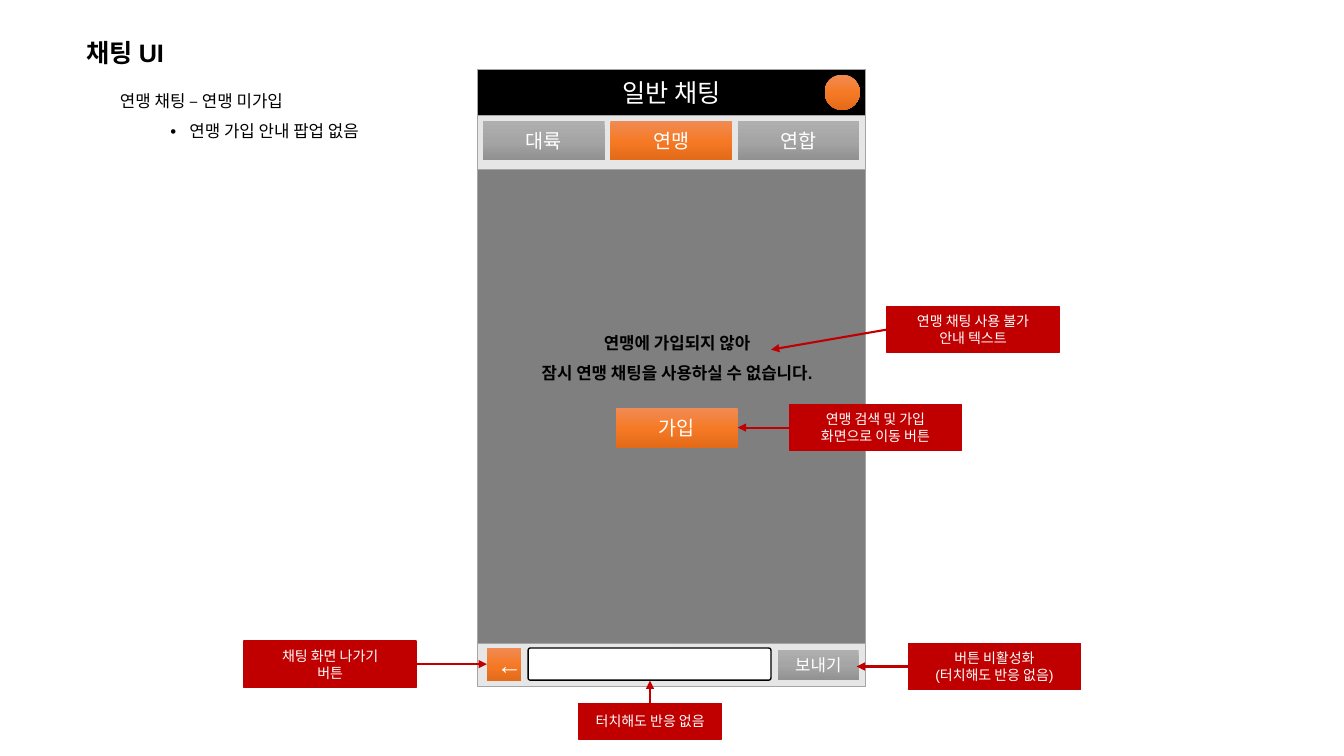
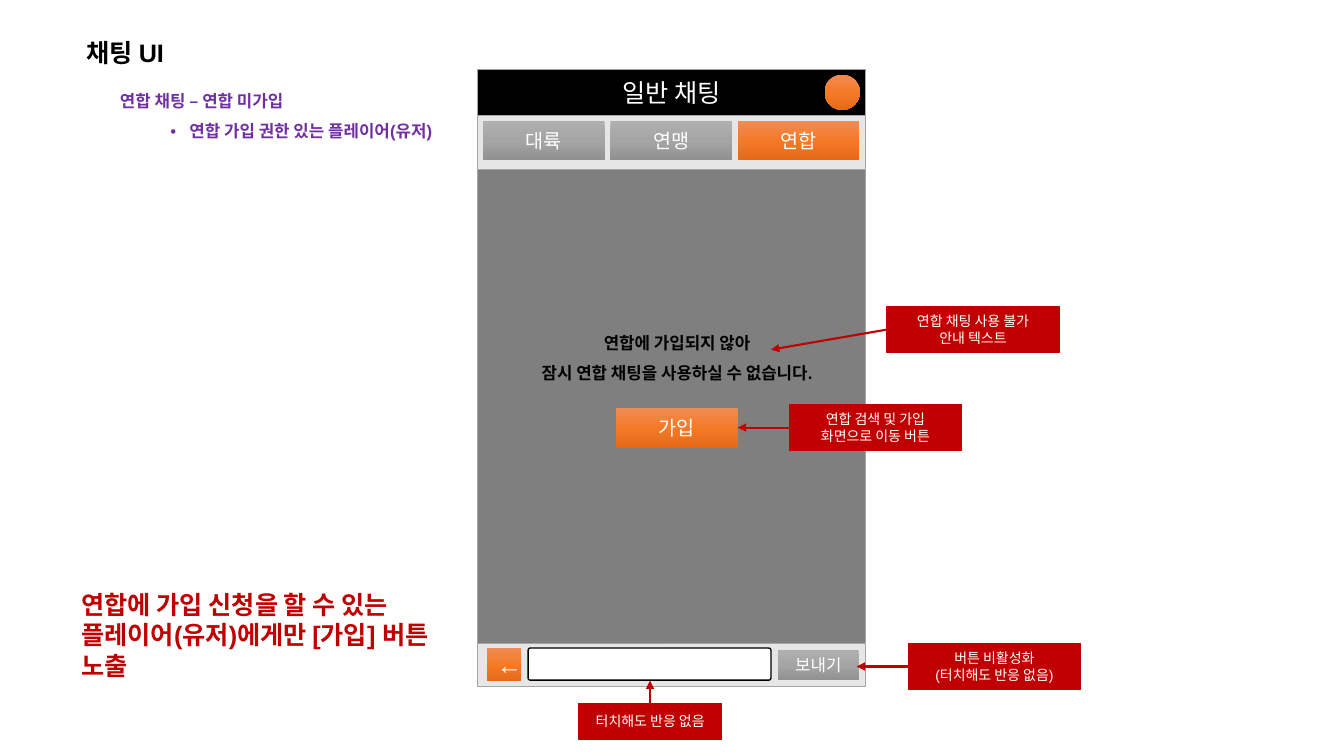
from lxml import etree
from pptx import Presentation
from pptx.dml.color import RGBColor
from pptx.enum.shapes import MSO_CONNECTOR, MSO_SHAPE
from pptx.enum.text import MSO_ANCHOR, MSO_AUTO_SIZE, PP_ALIGN
from pptx.oxml.ns import qn
from pptx.util import Cm, Pt

RECT = MSO_SHAPE.RECTANGLE
ROUNDED = MSO_SHAPE.ROUNDED_RECTANGLE
OVAL = MSO_SHAPE.OVAL
STRAIGHT = MSO_CONNECTOR.STRAIGHT
TOP, MIDDLE = MSO_ANCHOR.TOP, MSO_ANCHOR.MIDDLE
LEFT, CENTER = PP_ALIGN.LEFT, PP_ALIGN.CENTER
NO_FIT = MSO_AUTO_SIZE.NONE

FONT = "Arial"
BLACK, WHITE, RED, PURPLE = "000000", "FFFFFF", "C00000", "7030A0"
SCREEN, BAR, BORDER = "7F7F7F", "E7E6E6", "A5A5A5"
ORANGE_FADE = ("F08B54", "F67A26", "E36A18")
GRAY_FADE = ("AFAFAF", "A5A5A5", "919191")

PHONE_LEFT, PHONE_TOP, PHONE_WIDTH, PHONE_HEIGHT = 12.04, 1.75, 9.78, 15.52
BUTTON_WIDTH, BUTTON_HEIGHT = 3.07, 0.99
TAB_STEP = 3.21
TABS = ("대륙", "연맹", "연합")


def rgb(code):
    return RGBColor.from_string(code)


class ChatScreen:
    def __init__(self, deck):
        self.deck = deck
        self.slide = None

    def start(self, heading, topic, detail, color, bold):
        self.slide = self.deck.slides.add_slide(self.deck.slide_layouts[1])
        title, summary = self.slide.placeholders
        self.place(title, 1.93, 0.81, 2.69, 1.02)
        title.text_frame.word_wrap = False
        self.fill_text(title.text_frame, [heading], 18, BLACK, True, LEFT)
        self.place(summary, 2.77, 1.91, 9.17, 1.8)
        frame = summary.text_frame
        topic_line, detail_line = frame.paragraphs[0], frame.add_paragraph()
        self.bullet(topic_line, 0, 0, None)
        detail_line.level = 1
        self.bullet(detail_line, 1.75, -0.48, color)
        for paragraph, line in ((topic_line, topic), (detail_line, detail)):
            self.style(paragraph, line, 12, color, bold, LEFT, 1.5)

    def place(self, box, left, top, width, height):
        box.left, box.top = Cm(left), Cm(top)
        box.width, box.height = Cm(width), Cm(height)
        frame = box.text_frame
        frame.auto_size = NO_FIT
        frame.word_wrap = True
        frame.vertical_anchor = TOP

    def bullet(self, paragraph, margin, indent, color):
        props = paragraph._p.get_or_add_pPr()
        props.set("marL", str(Cm(margin)))
        props.set("indent", str(Cm(indent)))
        if color is None:
            etree.SubElement(props, qn("a:buNone"))
            return
        tint = etree.SubElement(props, qn("a:buClr"))
        etree.SubElement(tint, qn("a:srgbClr"), val=color)
        etree.SubElement(props, qn("a:buFont"), typeface=FONT)
        etree.SubElement(props, qn("a:buChar"), char="•")

    def style(self, paragraph, line, size, color, bold, align, spacing):
        paragraph.alignment = align
        paragraph.line_spacing = spacing
        paragraph.space_before = Pt(0)
        run = paragraph.add_run()
        run.text = line
        run.font.name = FONT
        run.font.size = Pt(size)
        run.font.bold = bold
        run.font.color.rgb = rgb(color)

    def fill_text(self, frame, lines, size, color, bold=False, align=CENTER, spacing=1.0):
        for index, line in enumerate(lines):
            paragraph = frame.add_paragraph() if index else frame.paragraphs[0]
            self.style(paragraph, line, size, color, bold, align, spacing)

    def text(self, lines, left, top, width, height, size, color, align, spacing):
        box = self.slide.shapes.add_textbox(Cm(left), Cm(top), Cm(width), Cm(height))
        box.text_frame.word_wrap = True
        self.fill_text(box.text_frame, lines, size, color, True, align, spacing)

    def panel(self, left, top, width, height, fill, border=BORDER, weight=0.75,
              lines=(), size=10, kind=RECT):
        shape = self.slide.shapes.add_shape(kind, Cm(left), Cm(top), Cm(width), Cm(height))
        shape.shadow.inherit = False
        if isinstance(fill, tuple):
            self.fade(shape, fill)
        else:
            shape.fill.solid()
            shape.fill.fore_color.rgb = rgb(fill)
        if border:
            shape.line.color.rgb = rgb(border)
            shape.line.width = Pt(weight)
        else:
            shape.line.fill.background()
        shape.text_frame.word_wrap = True
        shape.text_frame.vertical_anchor = MIDDLE
        self.fill_text(shape.text_frame, lines, size, WHITE)
        return shape

    def fade(self, shape, colors):
        shape.fill.gradient()
        shape.fill.gradient_angle = 270
        stops = shape._element.spPr.find(qn("a:gradFill")).find(qn("a:gsLst"))
        for stop in list(stops):
            stops.remove(stop)
        for index, color in enumerate(colors):
            stop = etree.SubElement(stops, qn("a:gs"), pos=str(index * 50000))
            etree.SubElement(stop, qn("a:srgbClr"), val=color)

    def button(self, label, left, top, fade, width=BUTTON_WIDTH, height=BUTTON_HEIGHT, size=14):
        self.panel(left, top, width, height, fade, None, lines=[label], size=size)

    def arrow(self, x1, y1, x2, y2):
        line = self.slide.shapes.add_connector(STRAIGHT, Cm(x1), Cm(y1), Cm(x2), Cm(y2))
        line.line.color.rgb = rgb(RED)
        line.line.width = Pt(1.5)
        props = line._element.spPr
        etree.SubElement(props.find(qn("a:ln")), qn("a:tailEnd"), type="triangle")
        etree.SubElement(props, qn("a:effectLst"))

    def callout(self, lines, left, top, tip_x, tip_y=None, width=4.34, height=1.17):
        self.panel(left, top, width, height, RED, RED, 1, lines)
        middle = top + height / 2
        if left < tip_x < left + width:
            self.arrow(tip_x, top, tip_x, tip_y)
        else:
            edge = left if tip_x < left else left + width
            self.arrow(edge, middle, tip_x, middle if tip_y is None else tip_y)

    def phone(self, group):
        self.panel(PHONE_LEFT, PHONE_TOP, PHONE_WIDTH, PHONE_HEIGHT, SCREEN)
        self.panel(PHONE_LEFT, PHONE_TOP, PHONE_WIDTH, 1.17, BLACK, lines=["일반 채팅"], size=18)
        for top, height in ((2.92, 1.35), (16.21, 1.09)):
            self.panel(PHONE_LEFT, top, PHONE_WIDTH, height, BAR)
        self.button("←", 12.27, 16.33, ORANGE_FADE, 0.86, 0.84, 18)
        for index, tab in enumerate(TABS):
            fade = ORANGE_FADE if tab == group else GRAY_FADE
            self.button(tab, 12.17 + index * TAB_STEP, 3.05, fade)
        self.button("보내기", 19.61, 16.38, GRAY_FADE, 2.03, 0.76, 12)
        entry = self.panel(13.31, 16.33, 6.12, 0.81, WHITE, BLACK, 1, kind=ROUNDED)
        entry.adjustments[0] = 0.07
        self.panel(20.78, 1.88, 0.89, 0.89, ORANGE_FADE, None, kind=OVAL)
        self.button("가입", 15.52, 10.29, ORANGE_FADE)
        self.text([f"{group}에 가입되지 않아", f"잠시 {group} 채팅을 사용하실 수 없습니다."],
                  12.95, 8, 8.23, 1.7, 12, BLACK, CENTER, 1.5)

    def callouts(self, group):
        self.callout([f"{group} 채팅 사용 불가", "안내 텍스트"], 22.35, 7.72, 19.43, 8.81)
        self.callout([f"{group} 검색 및 가입 화면으로 이동 버튼"], 19.89, 10.19, 18.59)
        self.callout(["버튼 비활성화", "(터치해도 반응 없음)"], 22.89, 16.21, 21.59)
        self.callout(["터치해도 반응 없음"], 14.58, 17.73, 16.38, 17.15, 3.61, 0.89)


def main():
    deck = Presentation()
    deck.slide_width, deck.slide_height = Cm(33.87), Cm(19.05)
    screen = ChatScreen(deck)
    pages = (
        ("연맹", "연맹 가입 안내 팝업 없음", BLACK, False),
        ("연합", "연합 가입 권한 있는 플레이어(유저)", PURPLE, True),
    )
    for group, detail, color, bold in pages:
        screen.start("채팅 UI", f"{group} 채팅 – {group} 미가입", detail, color, bold)
        screen.phone(group)
        screen.callouts(group)
        if group == "연맹":
            screen.callout(["채팅 화면 나가기", "버튼"], 6.15, 16.15, 12.27)
        else:
            screen.text(["연합에 가입 신청을 할 수 있는", "플레이어(유저)에게만 [가입] 버튼", "노출"],
                        1.8, 14.73, 10.24, 2.57, 18, RED, LEFT, 1.0)
    deck.save("out.pptx")


if __name__ == "__main__":
    main()
